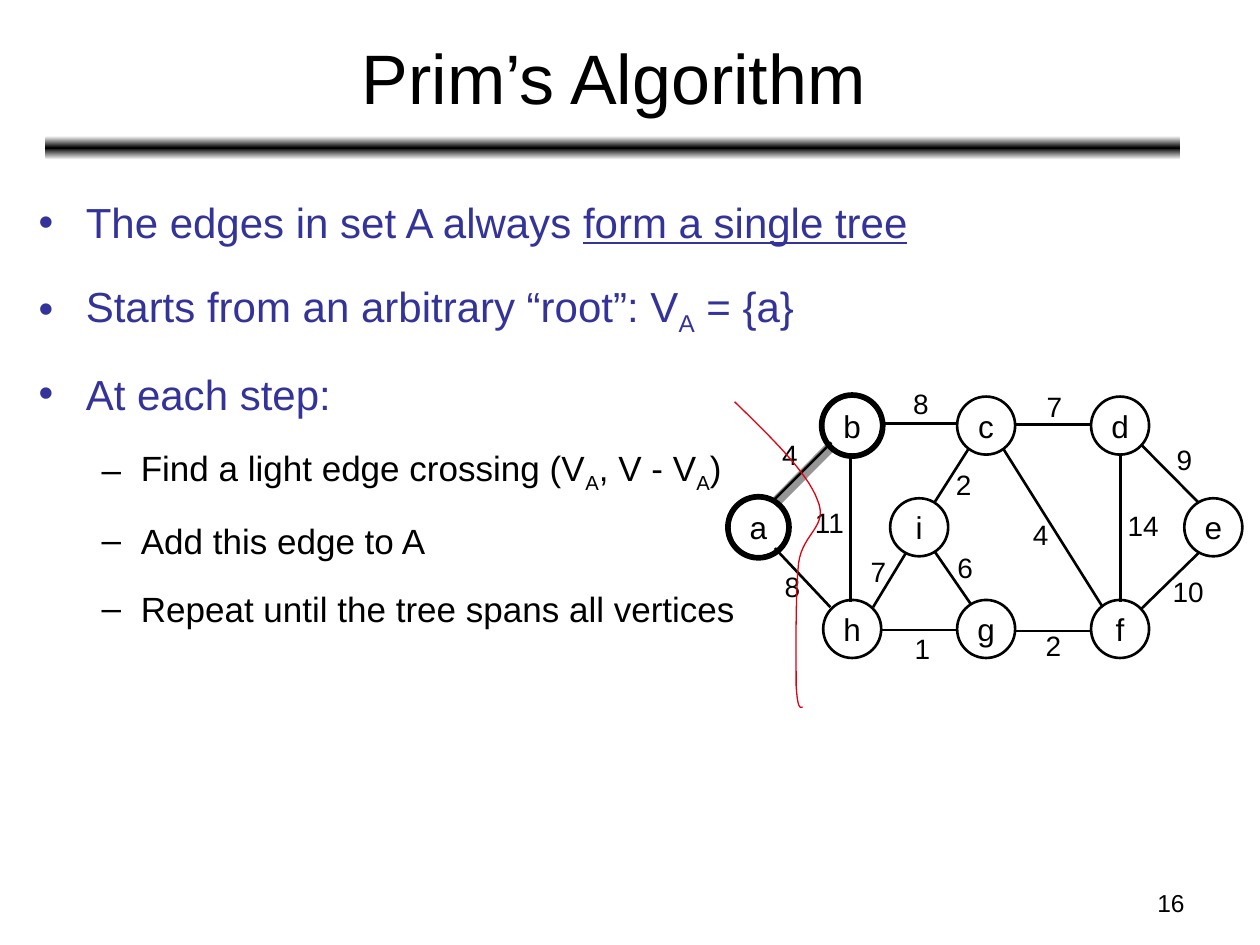
from dataclasses import dataclass
from copy import deepcopy

from lxml.etree import SubElement
from pptx import Presentation
from pptx.dml.color import RGBColor
from pptx.enum.shapes import MSO_CONNECTOR, MSO_SHAPE
from pptx.enum.text import MSO_ANCHOR as Anchor, MSO_AUTO_SIZE as AutoSize, PP_ALIGN as Align
from pptx.oxml.ns import qn
from pptx.util import Cm, Pt

Point = tuple[float, float]


@dataclass(frozen=True)
class Theme:
    font: str = "Arial"
    black: str = "000000"
    white: str = "FFFFFF"
    navy: str = "333399"
    gray: str = "969696"
    red: str = "DD0111"
    title: int = 40
    bullet: int = 24
    sub_bullet: int = 20
    vertex: int = 18
    weight: int = 16
    page: int = 14


@dataclass(frozen=True)
class Span:
    text: str
    underline: bool = False
    subscript: bool = False


@dataclass(frozen=True)
class BulletStyle:
    char: str
    color: str
    size: int
    level: int
    margin: float
    hanging: float
    before: int


@dataclass(frozen=True)
class Edge:
    start: Point
    end: Point
    weight: str
    label_at: Point


THEME = Theme()
MAIN = BulletStyle("•", THEME.navy, THEME.bullet, 0, 0.95, 0.95, 6)
SUB = BulletStyle("–", THEME.black, THEME.sub_bullet, 1, 2.06, 0.79, 5)
A_SUB = Span("A", subscript=True)

BULLETS = [
    (MAIN, [Span("The edges in set A always "), Span("form a single tree", underline=True)]),
    (MAIN, [Span("Starts from an arbitrary “root”: V"), A_SUB, Span(" = {a}")]),
    (MAIN, [Span("At each step:")]),
    (SUB, [Span("Find a light edge crossing (V"), A_SUB, Span(", V - V"), A_SUB, Span(")")]),
    (SUB, [Span("Add this edge to A")]),
    (SUB, [Span("Repeat until the tree spans all vertices")]),
]

TOP, MIDDLE, BOTTOM = 8.58, 10.63, 12.68
VERTICES: dict[str, Point] = {
    "a": (15.29, MIDDLE), "b": (17.18, TOP), "c": (19.88, TOP),
    "d": (22.58, TOP), "e": (24.46, MIDDLE), "h": (17.18, BOTTOM),
    "g": (19.88, BOTTOM), "f": (22.58, BOTTOM), "i": (18.53, MIDDLE),
}
VERTEX_SIZE, RING_SIZE = 1.17, 1.24
REACHED = "ba"

EDGES = [
    Edge((17.15, 9.17), (17.15, 12.14), "11", (16.18, 10.06)),
    Edge((22.59, 9.17), (22.59, 12.14), "14", (22.48, 10.13)),
    Edge((17.75, 8.54), (19.28, 8.54), "8", (18.16, 7.67)),
    Edge((20.45, 8.56), (21.97, 8.56), "7", (20.85, 7.72)),
    Edge((17.75, 12.7), (19.28, 12.7), "1", (18.19, 12.6)),
    Edge((20.47, 12.72), (22.02, 12.72), "2", (20.83, 12.55)),
    Edge((15.62, 10.06), (16.76, 8.92), "4", (15.52, 8.69)),
    Edge((23.01, 12.27), (24.18, 11.13), "10", (23.39, 11.46)),
    Edge((23.01, 8.97), (24.16, 10.13), "9", (23.47, 8.79)),
    Edge((15.62, 11.05), (16.74, 12.24), "8", (15.57, 11.35)),
    Edge((20.22, 9.04), (22.23, 12.24), "4", (20.57, 10.31)),
    Edge((18.85, 11.13), (19.58, 12.19), "6", (19.05, 10.97)),
    Edge((17.6, 12.24), (18.26, 11.15), "7", (17.3, 11.05)),
    Edge((18.85, 10.11), (19.53, 9.04), "2", (19.02, 9.3)),
]
LIGHT_EDGE = ((15.6, 10.16), (16.71, 9.04))

CUT_START = (14.81, 8.1)
CUT_CURVES = [
    ((15.54, 8.81), (16.28, 9.53), (16.48, 10.08)),
    ((16.71, 10.62), (16.18, 10.74), (16.1, 11.35)),
    ((16.03, 11.96), (16.05, 13.34), (16.05, 13.82)),
    ((16.08, 14.3), (16.13, 14.27), (16.18, 14.25)),
]


def rgb(color: str) -> RGBColor:
    return RGBColor.from_string(color)


def write(paragraph, text: str, *, size: int, color: str = THEME.black,
          underline: bool = False, subscript: bool = False) -> None:
    run = paragraph.add_run()
    run.text = text
    run.font.name, run.font.size = THEME.font, Pt(size)
    run.font.color.rgb = rgb(color)
    if underline:
        run.font.underline = True
    if subscript:
        run.font._element.set("baseline", "-25000")


def add_label(slide, box: tuple, text: str, *, size: int, align=Align.LEFT,
              anchor=Anchor.TOP, wrap: bool = True) -> None:
    frame = slide.shapes.add_textbox(*map(Cm, box)).text_frame
    frame.word_wrap, frame.vertical_anchor = wrap, anchor
    if not wrap:
        frame.auto_size = AutoSize.SHAPE_TO_FIT_TEXT
    frame.paragraphs[0].alignment = align
    write(frame.paragraphs[0], text, size=size)


def add_bullets(slide, box: tuple) -> None:
    frame = slide.shapes.add_textbox(*map(Cm, box)).text_frame
    frame.word_wrap = True
    for index, (style, spans) in enumerate(BULLETS):
        paragraph = frame.add_paragraph() if index else frame.paragraphs[0]
        paragraph.level = style.level
        props = paragraph._p.get_or_add_pPr()
        props.set("marL", str(Cm(style.margin)))
        props.set("indent", str(-Cm(style.hanging)))
        SubElement(SubElement(props, qn("a:buClr")), qn("a:srgbClr"), val=style.color)
        SubElement(props, qn("a:buFont"), typeface=THEME.font)
        SubElement(props, qn("a:buChar"), char=style.char)
        paragraph.line_spacing = 1.4
        paragraph.space_before = Pt(style.before if index else 0)
        for span in spans:
            write(paragraph, span.text, size=style.size, color=style.color,
                  underline=span.underline, subscript=span.subscript)


def add_divider(slide) -> None:
    bar = slide.shapes.add_shape(MSO_SHAPE.ROUNDED_RECTANGLE,
                                 Cm(0.91), Cm(2.74), Cm(22.89), Cm(0.48))
    bar.shadow.inherit = False
    bar.line.fill.background()
    bar.fill.gradient()
    bar.fill.gradient_angle = 90
    stops = bar.fill._fill._gradFill.gsLst
    stops.append(deepcopy(stops[-1]))
    colors = (THEME.white, THEME.black, THEME.white)
    for stop, color, position in zip(bar.fill.gradient_stops, colors, (0, 0.5, 1)):
        stop.color.rgb, stop.position = rgb(color), position


def add_line(slide, start: Point, end: Point, *, color: str = THEME.black,
             width: float = 1.5) -> None:
    line = slide.shapes.add_connector(MSO_CONNECTOR.STRAIGHT, *map(Cm, start + end))
    line.line.color.rgb, line.line.width = rgb(color), Pt(width)
    SubElement(line._element.spPr, qn("a:effectLst"))


def add_circle(slide, center: Point, size: float, *, width: float, text: str = "") -> None:
    left, top = (value - size / 2 for value in center)
    circle = slide.shapes.add_shape(MSO_SHAPE.OVAL, *map(Cm, (left, top, size, size)))
    circle.shadow.inherit = False
    circle.fill.background()
    circle.line.color.rgb, circle.line.width = rgb(THEME.black), Pt(width)
    if text:
        frame = circle.text_frame
        frame.word_wrap, frame.vertical_anchor = False, Anchor.MIDDLE
        frame.paragraphs[0].alignment = Align.CENTER
        write(frame.paragraphs[0], text, size=THEME.vertex)


def bezier(p0: Point, p1: Point, p2: Point, p3: Point, steps: int = 16) -> list[Point]:
    """Points along a cubic curve, without its start."""
    ts = [step / steps for step in range(1, steps + 1)]
    return [tuple((1 - t) ** 3 * a + 3 * (1 - t) ** 2 * t * b + 3 * (1 - t) * t ** 2 * c + t ** 3 * d
                  for a, b, c, d in zip(p0, p1, p2, p3)) for t in ts]


def add_cut(slide) -> None:
    points = [CUT_START]
    for curve in CUT_CURVES:
        points += bezier(points[-1], *curve)
    builder = slide.shapes.build_freeform(*map(Cm, CUT_START))
    builder.add_line_segments([(Cm(x), Cm(y)) for x, y in points[1:]], close=False)
    cut = builder.convert_to_shape()
    cut.shadow.inherit = False
    cut.fill.background()
    cut.line.color.rgb, cut.line.width = rgb(THEME.red), Pt(0.75)


def main() -> None:
    deck = Presentation()
    deck.slide_width, deck.slide_height = Cm(25.4), Cm(19.05)
    slide = deck.slides.add_slide(deck.slide_layouts[6])
    add_divider(slide)
    add_label(slide, (18.21, 17.78, 5.92, 0.89), "16", size=THEME.page, align=Align.RIGHT)
    add_label(slide, (0.94, 0.28, 22.86, 2.51), "Prim’s Algorithm", size=THEME.title,
              align=Align.CENTER, anchor=Anchor.MIDDLE)
    add_bullets(slide, (0.53, 3.43, 22.78, 14.1))
    add_line(slide, *LIGHT_EDGE, color=THEME.gray, width=6)
    for name, center in VERTICES.items():
        add_circle(slide, center, VERTEX_SIZE, width=1.5, text=name)
    for edge in EDGES:
        add_line(slide, edge.start, edge.end)
    for edge in EDGES:
        label_width = 0.52 + 0.34 * len(edge.weight)
        add_label(slide, (*edge.label_at, label_width, 0.94), edge.weight,
                  size=THEME.weight, wrap=False)
    for name in REACHED:
        add_circle(slide, VERTICES[name], RING_SIZE, width=3)
    add_cut(slide)
    deck.save("out.pptx")


if __name__ == "__main__":
    main()
